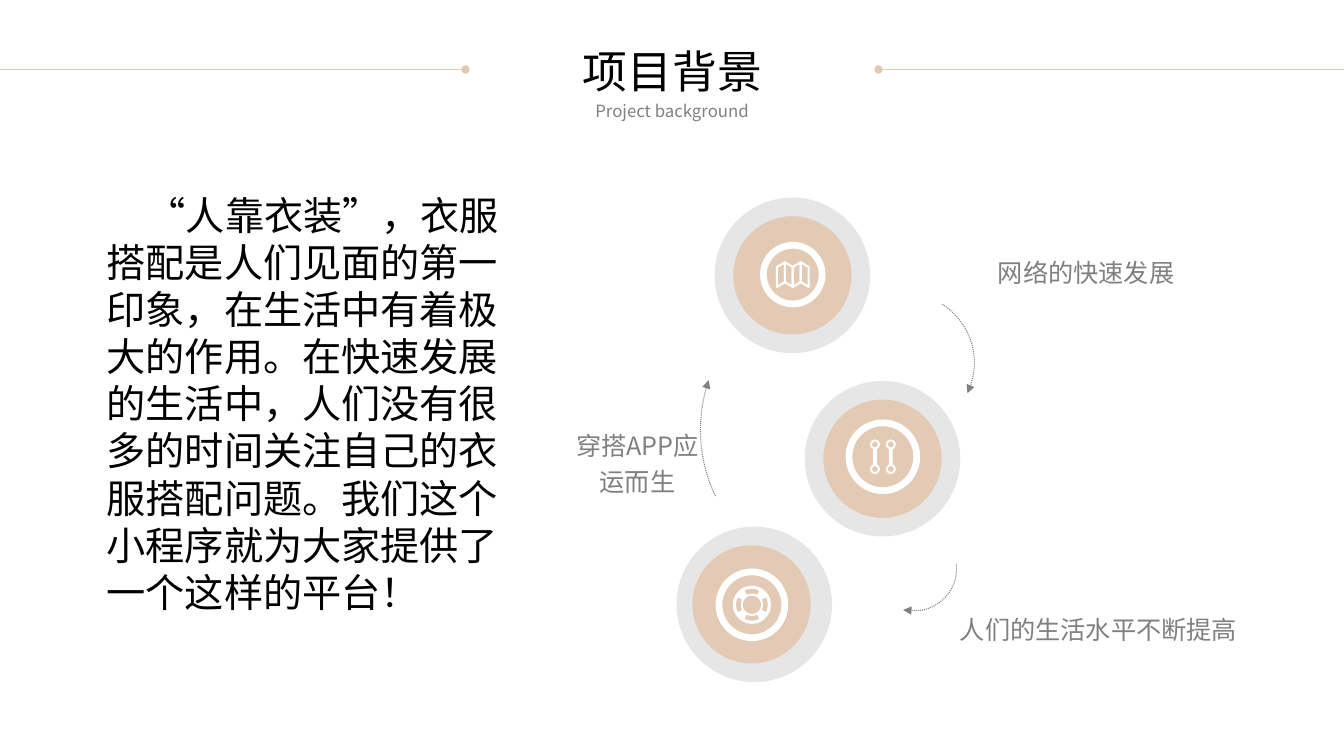
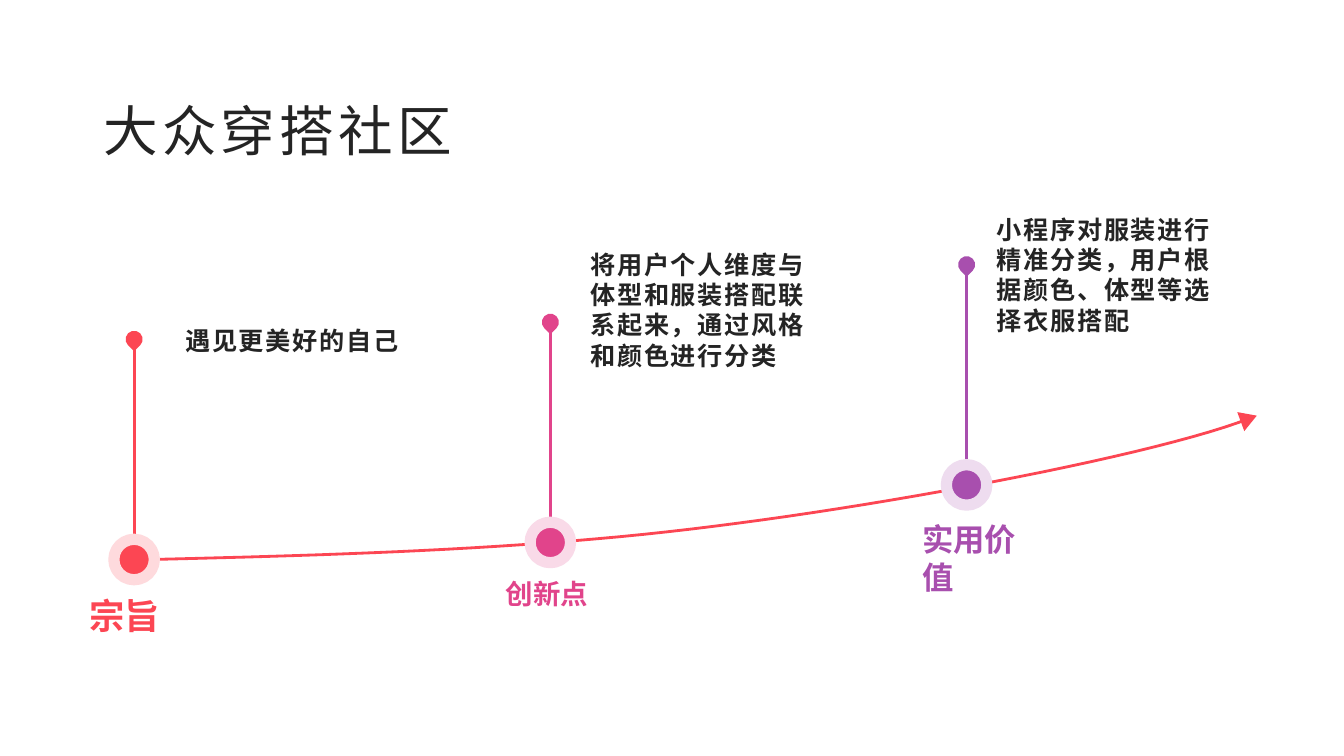
from dataclasses import dataclass
from math import cos, radians, sin
from typing import Callable

import pptx
import pptx.dml.color
import pptx.enum.dml
import pptx.enum.shapes
import pptx.enum.text
import pptx.oxml
import pptx.oxml.ns
import pptx.util
from pptx.util import Cm

RGBColor = pptx.dml.color.RGBColor
Shape = pptx.enum.shapes.MSO_SHAPE
Align = pptx.enum.text.PP_ALIGN
Anchor = pptx.enum.text.MSO_ANCHOR
qn = pptx.oxml.ns.qn
Point = tuple[float, float]

WHITE = RGBColor(0xFF, 0xFF, 0xFF)
BLACK = RGBColor(0x00, 0x00, 0x00)
INK = RGBColor(0x24, 0x24, 0x24)
GREY = RGBColor(0x80, 0x80, 0x80)
HALO = RGBColor(0xE6, 0xE6, 0xE6)
SAND = RGBColor(0xE3, 0xCA, 0xB4)
RED = RGBColor(0xFC, 0x46, 0x53)
PALE_RED = RGBColor(0xFE, 0xDA, 0xDD)
PINK = RGBColor(0xE1, 0x44, 0x8B)
PALE_PINK = RGBColor(0xF9, 0xDA, 0xE8)
PURPLE = RGBColor(0xA8, 0x4F, 0xAE)
PALE_PURPLE = RGBColor(0xEE, 0xDC, 0xEF)

FONT = "Noto Sans CJK SC"
WIDTH, HEIGHT = 33.87, 19.05


@dataclass
class Badge:
    x: float
    y: float
    halo_dx: float
    icon_y: float
    ring: float
    icon: Callable


@dataclass
class Label:
    text: str
    x: float
    y: float
    w: float


@dataclass
class Milestone:
    name: str
    size: float
    name_w: float
    y: float
    color: RGBColor
    pale: RGBColor
    detail: str
    detail_box: tuple[float, float, float, float]


def add_text(s, text: str, x: float, y: float, w: float, h: float, *, size: float,
             color: RGBColor = INK, font: str = FONT, bold: bool = False,
             align=Align.LEFT, anchor=Anchor.TOP, wrap: bool = True,
             line_spacing: float | None = None, tracking: float = 0,
             indent: float = 0) -> None:
    tf = s.shapes.add_textbox(Cm(x), Cm(y), Cm(w), Cm(h)).text_frame
    tf.word_wrap = wrap
    tf.vertical_anchor = anchor
    p = tf.paragraphs[0]
    p.alignment = align
    if line_spacing:
        p.line_spacing = line_spacing
    if indent:
        p._p.get_or_add_pPr().set("indent", str(Cm(indent)))
    r = p.add_run()
    r.text = text
    r.font.size = pptx.util.Pt(size)
    r.font.bold = bold
    r.font.name = font
    r.font.color.rgb = color
    rPr = r._r.get_or_add_rPr()
    rPr.append(pptx.oxml.parse_xml(
        f'<a:ea {pptx.oxml.ns.nsdecls("a")} typeface="{FONT}"/>'))
    if tracking:
        rPr.set("spc", str(round(tracking * 100)))


def paint(sp, fill: RGBColor | None, line: RGBColor | None = None, width: float = 0) -> None:
    sp.shadow.inherit = False
    if fill is None:
        sp.fill.background()
    else:
        sp.fill.solid()
        sp.fill.fore_color.rgb = fill
    if line is None:
        sp.line.fill.background()
    else:
        sp.line.color.rgb = line
        sp.line.width = pptx.util.Pt(width)


def add_centred(s, kind, cx: float, cy: float, w: float, h: float, fill: RGBColor,
                line: RGBColor | None = None, width: float = 0):
    sp = s.shapes.add_shape(kind, Cm(cx - w / 2), Cm(cy - h / 2), Cm(w), Cm(h))
    paint(sp, fill, line, width)
    return sp


def add_ring(s, cx: float, cy: float, d: float, thickness: float) -> None:
    sp = add_centred(s, Shape.DONUT, cx, cy, d, d, WHITE)
    sp.adjustments[0] = thickness / d


def add_outline(s, contours: list[list[Point]], closed: bool = True):
    builder = None
    for contour in contours:
        pts = [(Cm(x), Cm(y)) for x, y in contour]
        if builder is None:
            builder = s.shapes.build_freeform(*pts[0])
        else:
            builder.move_to(*pts[0])
        builder.add_line_segments(pts[1:], close=closed)
    return builder.convert_to_shape()


def add_end(sp, end: str, kind: str) -> None:
    """Put an arrowhead on the headEnd or tailEnd of a line."""
    ln = sp.line._get_or_add_ln()
    ln.append(pptx.oxml.parse_xml(
        f'<a:{end} {pptx.oxml.ns.nsdecls("a")} type="{kind}"/>'))


def add_line(s, x1: float, y1: float, x2: float, y2: float, color: RGBColor,
             width: float, end: str = "") -> None:
    c = s.shapes.add_connector(pptx.enum.shapes.MSO_CONNECTOR.STRAIGHT,
                               Cm(x1), Cm(y1), Cm(x2), Cm(y2))
    c.line.color.rgb = color
    c.line.width = pptx.util.Pt(width)
    if end:
        add_end(c, end, "oval")
    c._element.spPr.append(pptx.oxml.parse_xml(
        f'<a:effectLst {pptx.oxml.ns.nsdecls("a")}/>'))


def bezier(points: list[Point], steps: int = 24) -> list[Point]:
    """Sample chained cubic curves: a start, then three points per curve."""
    curve = [points[0]]
    for i in range(0, len(points) - 1, 3):
        for t in (n / steps for n in range(1, steps + 1)):
            weights = ((1 - t) ** 3, 3 * t * (1 - t) ** 2, 3 * t * t * (1 - t), t ** 3)
            curve.append(tuple(sum(w * pt[axis] for w, pt in zip(weights, points[i:i + 4]))
                               for axis in (0, 1)))
    return curve


def add_curve(s, points: list[Point], color: RGBColor, width: float):
    sp = add_outline(s, [bezier(points)], closed=False)
    paint(sp, None, color, width)
    return sp


def arc(cx: float, cy: float, radius: float, start: float, stop: float) -> list[Point]:
    steps = 36
    angles = (radians(start + (stop - start) * n / steps) for n in range(steps + 1))
    return [(cx + radius * cos(a), cy + radius * sin(a)) for a in angles]


def draw_map(s, cx: float, cy: float) -> None:
    panel, half, fold = 0.2, 0.25, 0.06
    contours = []
    for i in range(-2, 2):
        tilt = fold if i % 2 == 0 else -fold
        left, right = cx + i * panel, cx + (i + 1) * panel
        contours.append([(left, cy - half + tilt), (right, cy - half - tilt),
                         (right, cy + half - tilt), (left, cy + half + tilt)])
    paint(add_outline(s, contours), None, WHITE, 1.5)


def draw_bars(s, cx: float, cy: float) -> None:
    for x in (cx - 0.2, cx + 0.2):
        add_centred(s, Shape.RECTANGLE, x, cy, 0.1, 0.42, WHITE)
        for y in (cy - 0.31, cy + 0.31):
            add_ring(s, x, y, 0.25, 0.05)


def draw_lifebuoy(s, cx: float, cy: float) -> None:
    contours = [arc(cx, cy, 0.48, 0, 360), arc(cx, cy, 0.23, 360, 0)]
    for middle in range(0, 360, 90):
        start, stop = middle - 28, middle + 28
        contours.append(arc(cx, cy, 0.4, stop, start) + arc(cx, cy, 0.28, start, stop))
    paint(add_outline(s, contours), WHITE)


BADGES = [
    Badge(18.94, 15.23, 0.07, 15.24, 1.83, draw_lifebuoy),
    Badge(22.24, 11.56, 0, 11.51, 1.88, draw_bars),
    Badge(19.97, 6.94, 0, 6.92, 1.65, draw_map),
]
LABELS = [
    Label("网络的快速发展", 24.51, 6.2, 5.72),
    Label("人们的生活水平不断提高", 23.57, 15.21, 8.23),
    Label("穿搭APP应运而生", 13.97, 10.57, 4.19),
]
ARROWS = [
    [(23.75, 7.67), (24.49, 8.15), (24.77, 9.09), (24.38, 9.91)],
    [(18.03, 12.5), (17.6, 11.61), (17.53, 10.57), (17.86, 9.58)],
    [(24.1, 14.22), (24.16, 14.76), (23.8, 15.24), (23.27, 15.37),
     (23.09, 15.39), (22.91, 15.39), (22.76, 15.37)],
]
BACKGROUND = ("“人靠衣装”，衣服搭配是人们见面的第一印象，在生活中有着极大的作用。"
              "在快速发展的生活中，人们没有很多的时间关注自己的衣服搭配问题。"
              "我们这个小程序就为大家提供了一个这样的平台！")
TIMELINE = [(2.95, 14.12), (8.1, 14), (13.26, 13.87), (18.01, 13.26),
            (22.76, 12.67), (29.24, 11.43), (31.5, 10.54)]
MILESTONES = [
    Milestone("宗旨", 25.2, 2.74, 14.1, RED, PALE_RED,
              "遇见更美好的自己", (4.42, 7.8, 5.94, 1.57)),
    Milestone("创新点", 19.6, 2.74, 13.67, PINK, PALE_PINK,
              "将用户个人维度与体型和服装搭配联系起来，通过风格和颜色进行分类",
              (14.63, 5.94, 6.02, 3.73)),
    Milestone("实用价值", 22.4, 3.63, 12.22, PURPLE, PALE_PURPLE,
              "小程序对服装进行精准分类，用户根据颜色、体型等选择衣服搭配",
              (24.87, 5.16, 6.12, 3.53)),
]
FIRST_X, STEP_X = 3.38, 10.49


def draw_background(s) -> None:
    for b in BADGES:
        add_centred(s, Shape.OVAL, b.x + b.halo_dx, b.y, 3.92, 3.92, HALO)
        add_centred(s, Shape.OVAL, b.x, b.y, 2.98, 2.98, SAND)
        add_ring(s, b.x + 0.01, b.icon_y, b.ring, 0.17)
        b.icon(s, b.x + 0.01, b.icon_y)
    for label in LABELS:
        add_text(s, label.text, label.x, label.y, label.w, 1.35, size=18, color=GREY,
                 align=Align.CENTER, line_spacing=1.2)
    for points in ARROWS:
        sp = add_curve(s, points, GREY, 0.75)
        sp.line.dash_style = pptx.enum.dml.MSO_LINE.ROUND_DOT
        add_end(sp, "tailEnd", "triangle")

    rule_y, rule_w = 1.75, 11.73
    add_line(s, 0, rule_y, rule_w, rule_y, SAND, 0.5, "tailEnd")
    add_line(s, WIDTH - rule_w, rule_y, WIDTH, rule_y, SAND, 0.5, "headEnd")
    add_text(s, "项目背景", 14.43, 0.97, 5.03, 1.63, size=32, color=BLACK,
             align=Align.CENTER, wrap=False)
    add_text(s, "Project background", 6.96, 2.41, 19.96, 0.76, size=12, color=GREY,
             align=Align.CENTER)
    add_text(s, BACKGROUND, 2.44, 4.7, 11.23, 11.02, size=28, color=BLACK, indent=1.01)


def draw_community(s) -> None:
    add_text(s, "大众穿搭社区", 2.36, 2.26, 14.55, 1.96, size=39,
             anchor=Anchor.BOTTOM, tracking=3)
    add_curve(s, TIMELINE, RED, 2)
    add_centred(s, Shape.ISOSCELES_TRIANGLE, 31.47, 10.55, 0.51, 0.43, RED).rotation = 69.7
    for i, m in enumerate(MILESTONES):
        x = FIRST_X + i * STEP_X
        add_line(s, x, m.y - 5.41, x, m.y - 0.61, m.color, 2)
        add_centred(s, Shape.OVAL, x, m.y, 1.02, 1.02, m.color, m.pale, 8)
        add_centred(s, Shape.TEAR, x, m.y - 5.55, 0.43, 0.43, m.color).rotation = 135
        add_text(s, m.name, x - 1.37, m.y + 0.76, m.name_w, 1.4, size=m.size,
                 color=m.color, font="Arial", bold=True)
        add_text(s, m.detail, *m.detail_box, size=18, bold=True,
                 anchor=Anchor.MIDDLE, tracking=1.2)


def main() -> None:
    prs = pptx.Presentation()
    prs.slide_width, prs.slide_height = Cm(WIDTH), Cm(HEIGHT)
    for draw in (draw_background, draw_community):
        draw(prs.slides.add_slide(prs.slide_layouts[6]))
    prs.save("out.pptx")


if __name__ == "__main__":
    main()
